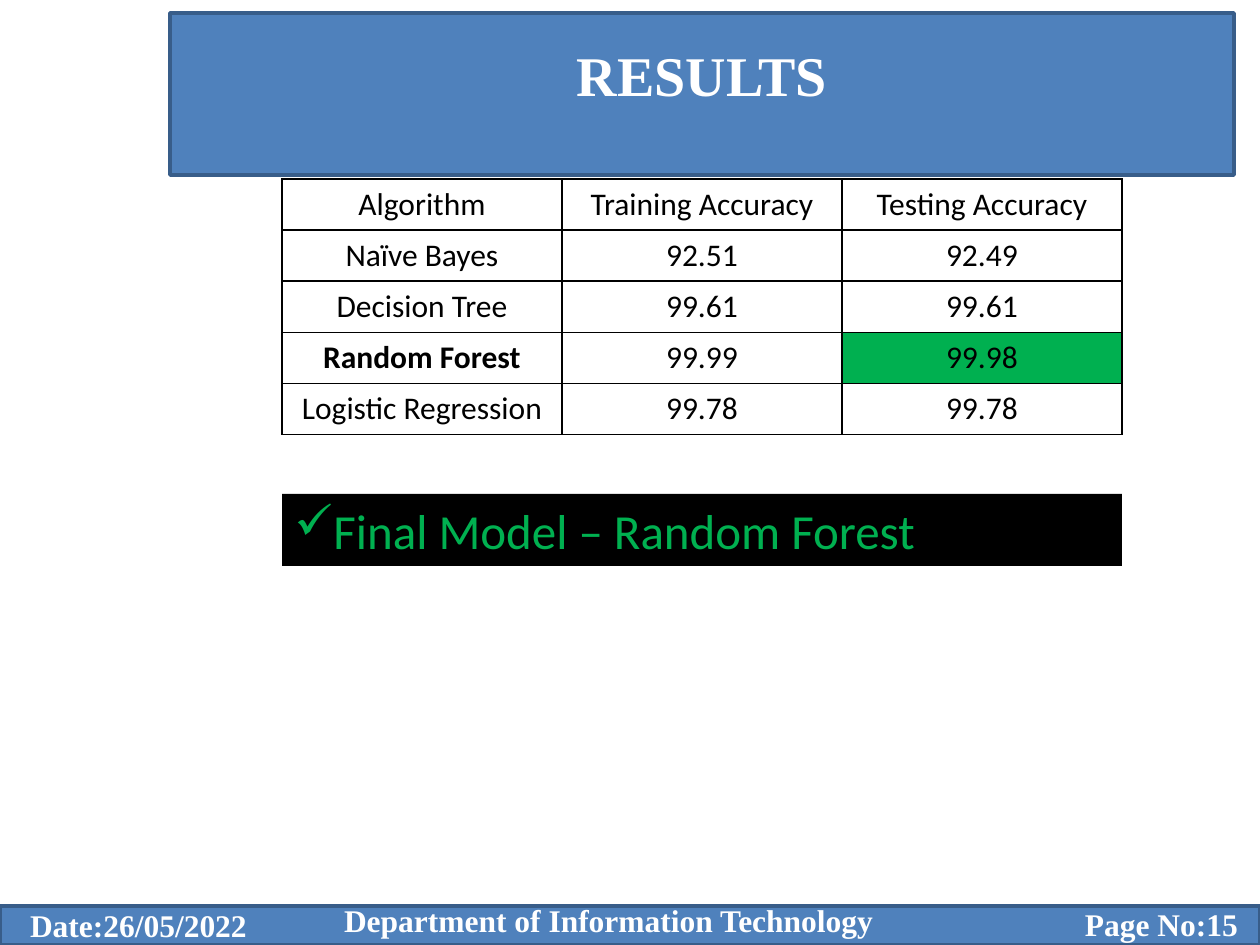
from lxml.etree import SubElement
from pptx import Presentation
from pptx.dml.color import RGBColor
from pptx.enum.shapes import MSO_SHAPE
from pptx.enum.text import MSO_ANCHOR, MSO_AUTO_SIZE, PP_ALIGN
from pptx.oxml.ns import qn
from pptx.util import Emu, Pt

SERIF, SANS = "Times New Roman", "Calibri"
WHITE, BLACK, BLUE, NAVY, GREEN = "FFFFFF", "000000", "4F81BC", "385D89", "00B050"
RESULTS = [
    ("Algorithm", "Training Accuracy", "Testing Accuracy"),
    ("Naïve Bayes", "92.51", "92.49"),
    ("Decision Tree", "99.61", "99.61"),
    ("Random Forest", "99.99", "99.98"),
    ("Logistic Regression", "99.78", "99.78"),
]
BEST_ROW = 3
FOOTERS = [
    ("Date:26/05/2022", 30, 905, 222),
    ("Page No:15", 1085, 904, 205),
    ("Department of Information Technology", 344, 900, 533),
]


def px(n):
    """Turn pixels at 126 to the inch into EMU."""
    return Emu(round(n * 914400 / 126))


def rgb(code):
    """Turn a hex string into a colour."""
    return RGBColor.from_string(code)


def place(s, x, y, w, h):
    """Set the position and size of a shape."""
    s.left, s.top, s.width, s.height = px(x), px(y), px(w), px(h)


def paint(s, fill, line=None):
    """Set the fill and the outline of a shape."""
    s.fill.solid()
    s.fill.fore_color.rgb = rgb(fill)
    if line:
        s.line.color.rgb = rgb(line)
        s.line.width = Pt(2)
    else:
        s.line.fill.background()


def style(p, size, font, color, bold=False, align=PP_ALIGN.LEFT):
    """Format a paragraph."""
    p.alignment = align
    p.font.size, p.font.name, p.font.bold = Pt(size), font, bold
    p.font.color.rgb = rgb(color)


def set_insets(tf, top):
    """Keep only a top inset and anchor the text at the top."""
    tf.margin_left = tf.margin_right = tf.margin_bottom = 0
    tf.margin_top = px(top)
    tf.vertical_anchor = MSO_ANCHOR.TOP
    tf.auto_size = MSO_AUTO_SIZE.NONE
    tf.word_wrap = True


def add_box(slide, x, y, w, h, fill, line=None):
    """Add a flat rectangle."""
    s = slide.shapes.add_shape(MSO_SHAPE.RECTANGLE, px(x), px(y), px(w), px(h))
    s.shadow.inherit = False
    paint(s, fill, line)
    return s


def set_title(slide, text):
    """Fill and format the title banner."""
    s = slide.shapes.title
    place(s, 170, 13, 1064, 162)
    paint(s, BLUE, NAVY)
    s.text_frame.text = text
    set_insets(s.text_frame, 28)
    style(s.text_frame.paragraphs[0], 32, SERIF, WHITE, True, PP_ALIGN.CENTER)


def add_footer(slide, text, x, y, w):
    """Add one label on the footer bar."""
    tf = slide.shapes.add_textbox(px(x), px(y), px(w), px(41)).text_frame
    tf.text = text
    set_insets(tf, 1)
    p = tf.paragraphs[0]
    p.space_before = Pt(1)
    style(p, 18, SERIF, WHITE, True)


def set_borders(cell):
    """Draw a thin black line on each side of a cell."""
    tcPr = cell._tc.get_or_add_tcPr()
    for i, side in enumerate(("lnL", "lnR", "lnT", "lnB")):
        ln = tcPr.makeelement(qn(f"a:{side}"), {"w": str(Pt(1))})
        fill = SubElement(ln, qn("a:solidFill"))
        SubElement(fill, qn("a:srgbClr"), val=BLACK)
        tcPr.insert(i, ln)


def add_results(slide, x, y, w, h):
    """Add the accuracy table with the best model marked."""
    shape = slide.shapes.add_table(len(RESULTS), len(RESULTS[0]), px(x), px(y), px(w), px(h))
    table = shape.table
    for r, row in enumerate(RESULTS):
        for c, text in enumerate(row):
            cell = table.cell(r, c)
            cell.text = text
            cell.vertical_anchor = MSO_ANCHOR.MIDDLE
            best = r == BEST_ROW
            cell.fill.solid()
            cell.fill.fore_color.rgb = rgb(GREEN if best and c == 2 else WHITE)
            style(cell.text_frame.paragraphs[0], 18, SANS, BLACK, best and c == 0, PP_ALIGN.CENTER)
            set_borders(cell)


def add_conclusion(slide, text, x, y, w, h):
    """Add the black box with its check-marked line."""
    tf = add_box(slide, x, y, w, h, BLACK).text_frame
    tf.text = text
    tf.word_wrap = True
    tf.vertical_anchor = MSO_ANCHOR.TOP
    p = tf.paragraphs[0]
    style(p, 28, SANS, GREEN)
    pPr = p._p.get_or_add_pPr()
    pPr.set("marL", str(px(39)))
    pPr.set("indent", str(-px(39)))
    bullet = pPr.makeelement(qn("a:buChar"), {"char": "✓"})
    pPr.insert_element_before(bullet, "a:tabLst", "a:defRPr", "a:extLst")


def main():
    """Build and save the slide."""
    prs = Presentation()
    prs.slide_width, prs.slide_height = px(1260), px(945)
    slide = prs.slides.add_slide(prs.slide_layouts[5])
    set_title(slide, "RESULTS")
    add_box(slide, 0, 906, 1260, 39, BLUE, NAVY)
    for footer in FOOTERS:
        add_footer(slide, *footer)
    add_results(slide, 282, 179, 840, 255)
    add_conclusion(slide, "Final Model – Random Forest", 282, 494, 840, 72)
    prs.save("out.pptx")


if __name__ == "__main__":
    main()
